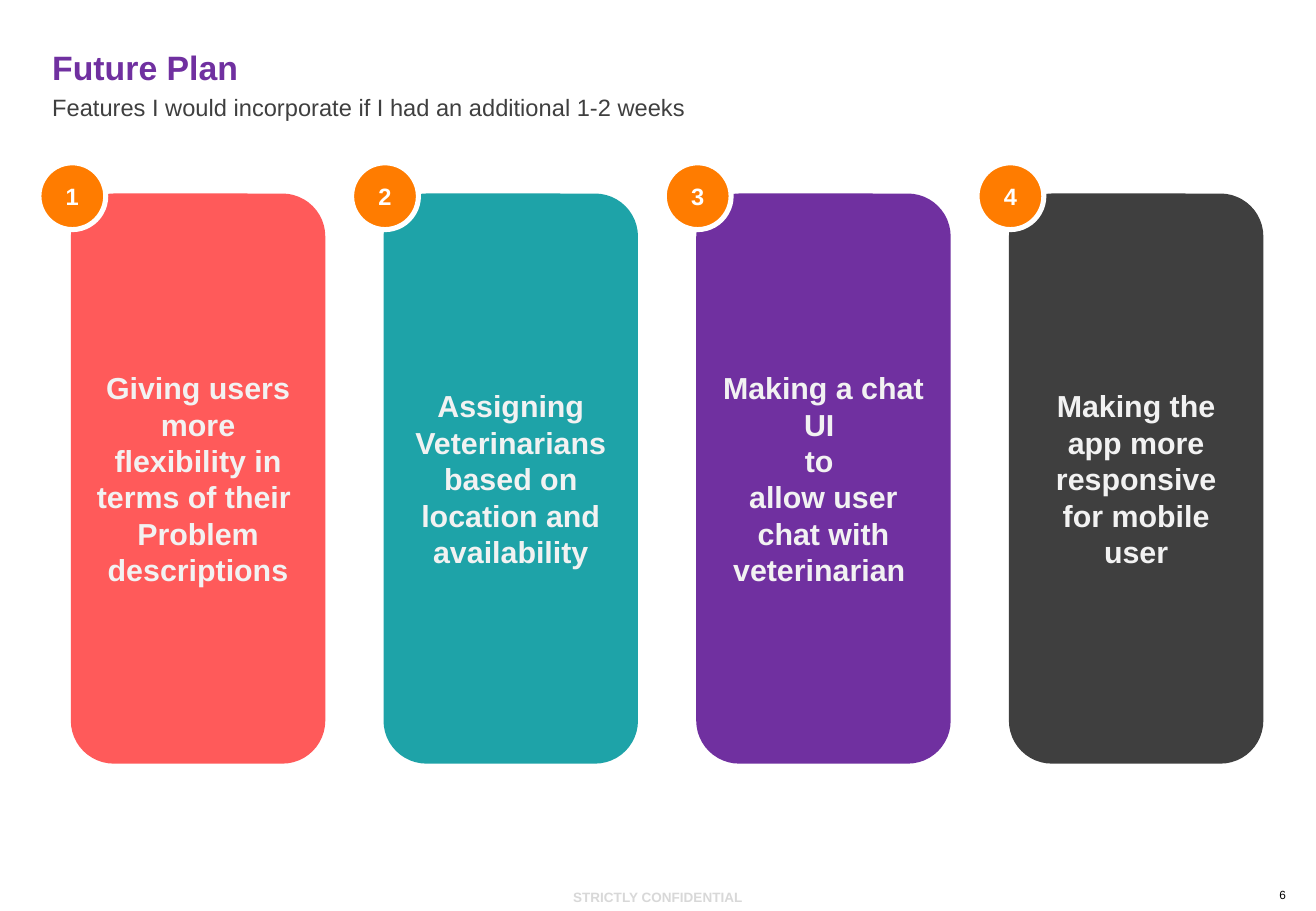
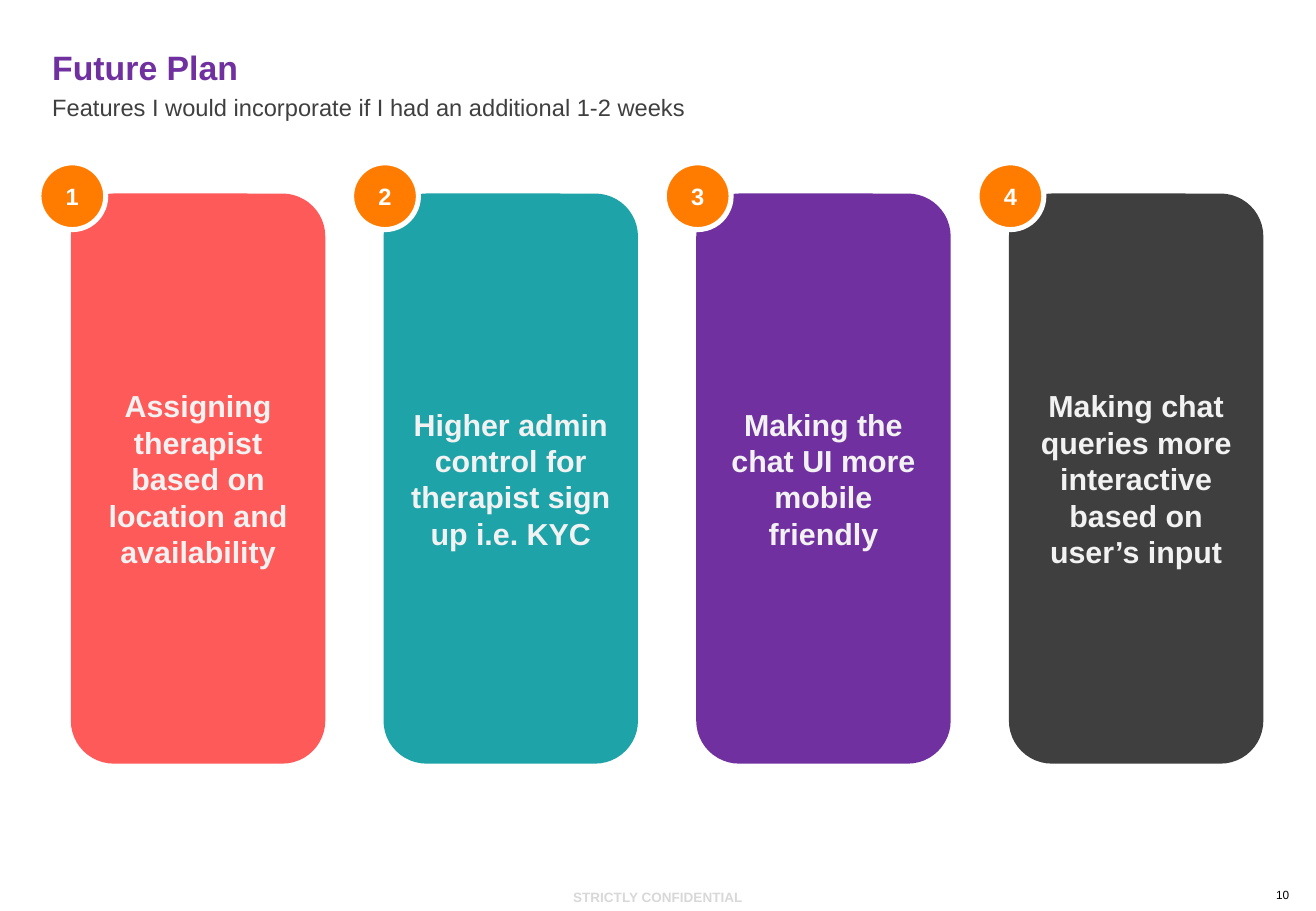
from dataclasses import dataclass

from pptx import Presentation
from pptx.dml.color import RGBColor
from pptx.enum.shapes import MSO_SHAPE
from pptx.enum.text import MSO_ANCHOR, PP_ALIGN
from pptx.util import Inches, Pt

PURPLE = RGBColor(0x70, 0x30, 0xA0)
CORAL = RGBColor(0xFF, 0x5A, 0x5A)
TEAL = RGBColor(0x1E, 0xA3, 0xA8)
CHARCOAL = RGBColor(0x3F, 0x3F, 0x3F)
ORANGE = RGBColor(0xFF, 0x7C, 0x00)
WHITE = RGBColor(0xFF, 0xFF, 0xFF)
OFF_WHITE = RGBColor(0xF2, 0xF2, 0xF2)
PALE_GREY = RGBColor(0xD8, 0xD8, 0xD8)
BLACK = RGBColor(0, 0, 0)

SLIDE_W, SLIDE_H = 10.83, 7.5
MARGIN, HEAD_W = 0.43, 9.98
CARD_COLORS = (CORAL, TEAL, PURPLE, CHARCOAL)
FIRST_X, LAST_X = 0.59, 8.31
PITCH = (LAST_X - FIRST_X) / (len(CARD_COLORS) - 1)
CARD_Y, CARD_W, CARD_H = 1.6, 2.08, 4.68
BADGE, BADGE_SHIFT = 0.55, 0.27
FOOTER_W = 3.04


@dataclass(frozen=True)
class Box:
    x: float
    y: float
    w: float
    h: float

    def lengths(self) -> tuple:
        return tuple(Inches(v) for v in (self.x, self.y, self.w, self.h))


@dataclass(frozen=True)
class Style:
    size: float
    color: RGBColor
    bold: bool = False
    align: PP_ALIGN = PP_ALIGN.CENTER
    anchor: MSO_ANCHOR = MSO_ANCHOR.MIDDLE
    spacing: float = 1.0
    inset_x: float = 0.1
    inset_y: float = 0.05


@dataclass(frozen=True)
class Plan:
    number: int
    cards: tuple


HEADING = Style(20, PURPLE, True, PP_ALIGN.LEFT, MSO_ANCHOR.BOTTOM, 0.9, 0, 0)
SUBHEADING = Style(14, CHARCOAL, False, PP_ALIGN.LEFT, MSO_ANCHOR.TOP, 0.9, 0, 0)
CARD_TEXT = Style(18, OFF_WHITE, True)
BADGE_TEXT = Style(14, WHITE, True)
FOOTER = Style(8, PALE_GREY, True, anchor=MSO_ANCHOR.TOP)
PAGE_NUMBER = Style(7, BLACK, anchor=MSO_ANCHOR.TOP, inset_x=0, inset_y=0)

PLANS = (
    Plan(6, (
        ("Giving users more flexibility in terms of their ", "Problem descriptions"),
        ("Assigning Veterinarians based on location and availability",),
        ("Making a chat UI ", "to ", "allow user", "chat with veterinarian "),
        ("Making the app more responsive", "for mobile", "user"),
    )),
    Plan(10, (
        ("Assigning therapist based on location and availability",),
        ("Higher admin control for therapist sign up i.e. KYC",),
        ("Making the chat UI more mobile friendly",),
        ("Making chat queries more interactive based on user’s input",),
    )),
)


def set_attrs(obj, values: dict) -> None:
    for name, value in values.items():
        setattr(obj, name, value)


def write(sp, lines: tuple, style: Style) -> None:
    tf = sp.text_frame
    dx, dy = Inches(style.inset_x), Inches(style.inset_y)
    set_attrs(tf, {
        "text": "\n".join(lines), "word_wrap": True, "vertical_anchor": style.anchor,
        "margin_left": dx, "margin_right": dx, "margin_top": dy, "margin_bottom": dy,
    })
    for p in tf.paragraphs:
        set_attrs(p, {"alignment": style.align, "line_spacing": style.spacing})
        for r in p.runs:
            set_attrs(r.font, {"name": "Arial", "size": Pt(style.size), "bold": style.bold})
            r.font.color.rgb = style.color


def add_text(s, box: Box, text: str, style: Style) -> None:
    write(s.shapes.add_textbox(*box.lengths()), (text,), style)


def add_block(s, kind: MSO_SHAPE, box: Box, fill: RGBColor, line: RGBColor,
              line_w: float, lines: tuple, style: Style) -> None:
    sp = s.shapes.add_shape(kind, *box.lengths())
    sp.shadow.inherit = False
    sp.fill.solid()
    sp.fill.fore_color.rgb = fill
    sp.line.color.rgb = line
    sp.line.width = Pt(line_w)
    write(sp, lines, style)


def add_frame(s, number: int) -> None:
    title = s.shapes.title
    places = zip(("left", "top", "width", "height"), Box(MARGIN, 0.42, HEAD_W, 0.3).lengths())
    set_attrs(title, dict(places))
    write(title, ("Future Plan",), HEADING)
    add_text(s, Box(MARGIN, 0.79, HEAD_W, 0.21),
             "Features I would incorporate if I had an additional 1-2 weeks", SUBHEADING)
    add_text(s, Box((SLIDE_W - FOOTER_W) / 2, 7.27, FOOTER_W, 0.24),
             "STRICTLY CONFIDENTIAL", FOOTER)
    add_text(s, Box(10.38, 7.31, 0.35, 0.12), str(number), PAGE_NUMBER)


def add_plan(prs, plan: Plan) -> None:
    s = prs.slides.add_slide(prs.slide_layouts.get_by_name("Title Only"))
    add_frame(s, plan.number)
    for i, (color, lines) in enumerate(zip(CARD_COLORS, plan.cards)):
        x = FIRST_X + i * PITCH
        add_block(s, MSO_SHAPE.ROUNDED_RECTANGLE, Box(x, CARD_Y, CARD_W, CARD_H),
                  color, color, 1, lines, CARD_TEXT)
        add_block(s, MSO_SHAPE.OVAL,
                  Box(x - BADGE_SHIFT, CARD_Y - BADGE_SHIFT + 0.01, BADGE, BADGE),
                  ORANGE, WHITE, 3, (str(i + 1),), BADGE_TEXT)


def main() -> None:
    prs = Presentation()
    set_attrs(prs, {"slide_width": Inches(SLIDE_W), "slide_height": Inches(SLIDE_H)})
    for plan in PLANS:
        add_plan(prs, plan)
    prs.save("out.pptx")


if __name__ == "__main__":
    main()
